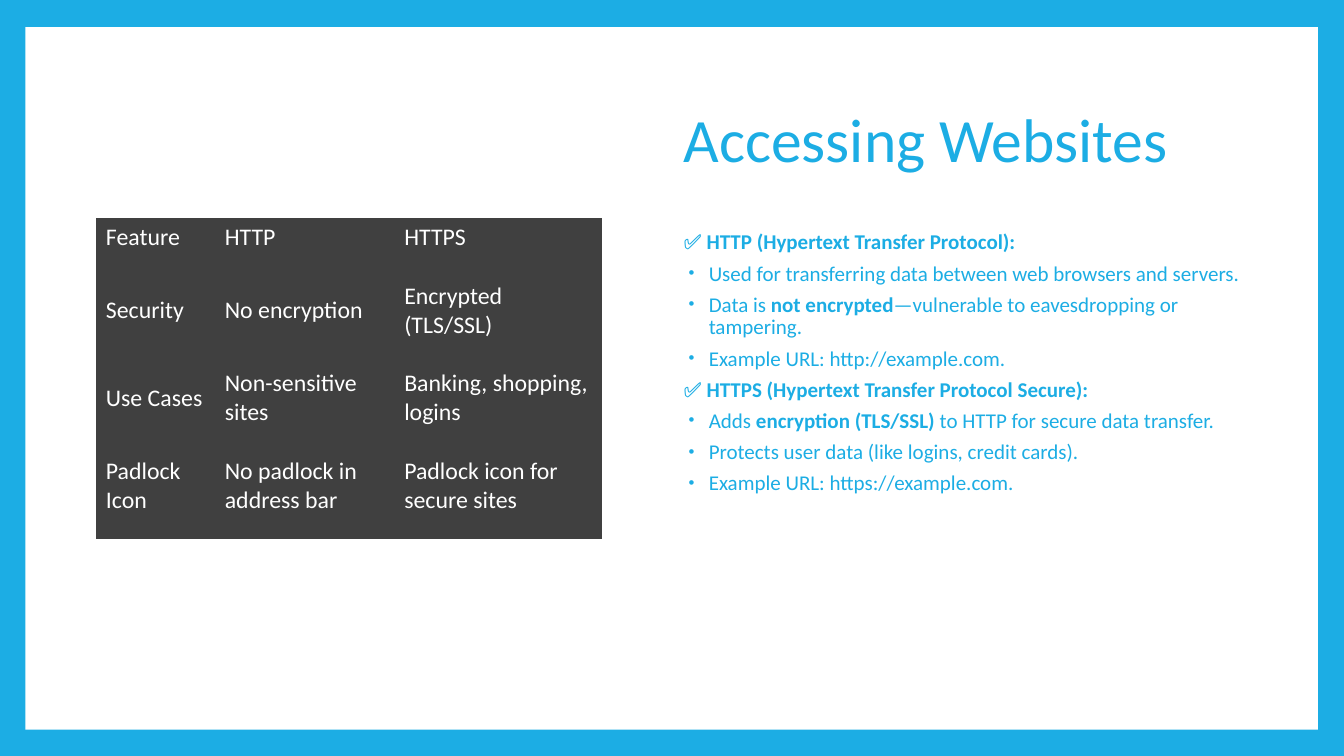
from dataclasses import dataclass

from lxml import etree
from pptx import Presentation
from pptx.dml.color import RGBColor
from pptx.enum.shapes import MSO_SHAPE
from pptx.enum.text import MSO_ANCHOR, MSO_AUTO_SIZE, PP_ALIGN
from pptx.oxml.ns import qn
from pptx.util import Inches, Pt

RECT = MSO_SHAPE.RECTANGLE
TOP, MIDDLE = MSO_ANCHOR.TOP, MSO_ANCHOR.MIDDLE
LEFT = PP_ALIGN.LEFT
FIXED = MSO_AUTO_SIZE.NONE
PLAIN_TABLE = "{2D5ABB26-0587-4C30-8999-92F81FD0307C}"


@dataclass(frozen=True)
class Theme:
    font: str = "Calibri"
    blue: str = "1CADE4"
    white: str = "FFFFFF"
    dark: str = "404040"
    title: int = 44
    body: int = 15
    cell: int = 17


def paint(fill, color):
    fill.solid()
    fill.fore_color.rgb = RGBColor.from_string(color)


def mark(para, color, bullet):
    """Set the indent and the bullet, or clear both."""
    props = para._p.get_or_add_pPr()
    props.set("marL", str(Inches(0.25) if bullet else 0))
    props.set("indent", str(Inches(-0.2) if bullet else 0))
    if not bullet:
        etree.SubElement(props, qn("a:buNone"))
        return
    tint = etree.SubElement(props, qn("a:buClr"))
    etree.SubElement(tint, qn("a:srgbClr"), val=color)
    etree.SubElement(props, qn("a:buSzPct"), val="80000")
    etree.SubElement(props, qn("a:buFont"), typeface="Arial")
    etree.SubElement(props, qn("a:buChar"), char="•")


def write(para, text, *, font, size, color, spacing=1.0, after=0):
    """Fill a paragraph; words between double asterisks are bold."""
    para.alignment = LEFT
    para.line_spacing = spacing
    para.space_before = Pt(0)
    para.space_after = Pt(after)
    for i, part in enumerate(text.split("**")):
        if part:
            run = para.add_run()
            run.text = part
            run.font.name = font
            run.font.size = Pt(size)
            run.font.bold = i % 2 == 1
            run.font.color.rgb = RGBColor.from_string(color)


class Deck:
    """Style and current slide; all lengths are percent of the slide."""

    def __init__(self, theme):
        self.theme = theme
        self.show = Presentation()
        self.show.slide_width = Inches(13.33)
        self.show.slide_height = Inches(7.5)
        self.slide = self.show.slides.add_slide(self.show.slide_layouts[1])
        paint(self.slide.background.fill, theme.blue)

    def across(self, share):
        return round(self.show.slide_width * share / 100)

    def down(self, share):
        return round(self.show.slide_height * share / 100)

    def box(self, left, top, width, height):
        return (self.across(left), self.down(top),
                self.across(width), self.down(height))

    def panel(self, *area):
        shape = self.slide.shapes.add_shape(RECT, *self.box(*area))
        shape.shadow.inherit = False
        paint(shape.fill, self.theme.white)
        shape.line.fill.background()
        self.slide.shapes.element.insert(2, shape.element)

    def place(self, holder, area, anchor):
        holder.left, holder.top, holder.width, holder.height = self.box(*area)
        frame = holder.text_frame
        frame.word_wrap = True
        frame.auto_size = FIXED
        frame.vertical_anchor = anchor
        return frame

    def title(self, text, *area):
        frame = self.place(self.slide.shapes.title, area, MIDDLE)
        write(frame.paragraphs[0], text, font=self.theme.font,
              size=self.theme.title, color=self.theme.blue, spacing=0.9)

    def body(self, groups, *area):
        frame = self.place(self.slide.placeholders[1], area, TOP)
        lines = [(text, i > 0) for group in groups
                 for i, text in enumerate(group)]
        for i, (text, bullet) in enumerate(lines):
            para = frame.add_paragraph() if i else frame.paragraphs[0]
            para.level = int(bullet)
            mark(para, self.theme.blue, bullet)
            write(para, text, font=self.theme.font, size=self.theme.body,
                  color=self.theme.blue, spacing=0.9, after=6)

    def table(self, data, left, top, cols, rows):
        area = self.box(left, top, sum(cols), sum(rows))
        frame = self.slide.shapes.add_table(len(rows), len(cols), *area)
        for style in frame.element.iter(qn("a:tableStyleId")):
            style.text = PLAIN_TABLE
        grid = frame.table
        for col, share in zip(grid.columns, cols):
            col.width = self.across(share)
        for r, (row, share) in enumerate(zip(grid.rows, rows)):
            row.height = self.down(share)
            for c, cell in enumerate(row.cells):
                self.cell(cell, data[r][c], c == 0)

    def cell(self, cell, text, edge):
        cell.margin_left, cell.margin_top = Inches(0.1), Inches(0.03)
        cell.margin_right, cell.margin_bottom = Inches(0.07), Inches(0.22)
        cell.vertical_anchor = MIDDLE
        paint(cell.fill, self.theme.dark)
        write(cell.text_frame.paragraphs[0], text, font=self.theme.font,
              size=self.theme.cell, color=self.theme.white)
        if edge:
            line = etree.Element(qn("a:lnL"), w=str(Pt(1)))
            fill = etree.SubElement(line, qn("a:solidFill"))
            etree.SubElement(fill, qn("a:srgbClr"), val=self.theme.white)
            cell._tc.get_or_add_tcPr().insert(0, line)


GROUPS = [
    ["✅ **HTTP (Hypertext Transfer Protocol):**",
     "Used for transferring data between web browsers and servers.",
     "Data is **not encrypted**—vulnerable to eavesdropping or tampering.",
     "Example URL: http://example.com."],
    ["✅ **HTTPS (Hypertext Transfer Protocol Secure):**",
     "Adds **encryption (TLS/SSL)** to HTTP for secure data transfer.",
     "Protects user data (like logins, credit cards).",
     "Example URL: https://example.com."],
]
FEATURES = [
    ["Feature", "HTTP", "HTTPS"],
    ["Security", "No encryption", "Encrypted (TLS/SSL)"],
    ["Use Cases", "Non-sensitive sites", "Banking, shopping, logins"],
    ["Padlock Icon", "No padlock in address bar",
     "Padlock icon for secure sites"],
]


def main():
    deck = Deck(Theme())
    deck.panel(1.88, 3.6, 96.17, 92.93)
    deck.title("Accessing Websites", 50.11, 8.93, 44.04, 19.73)
    deck.body(GROUPS, 50.11, 30, 44.04, 58.93)
    deck.table(FEATURES, 7.13, 28.8,
               cols=[8.85, 13.35, 15.45], rows=[7.73] + [11.6] * 3)
    deck.show.save("out.pptx")


if __name__ == "__main__":
    main()
